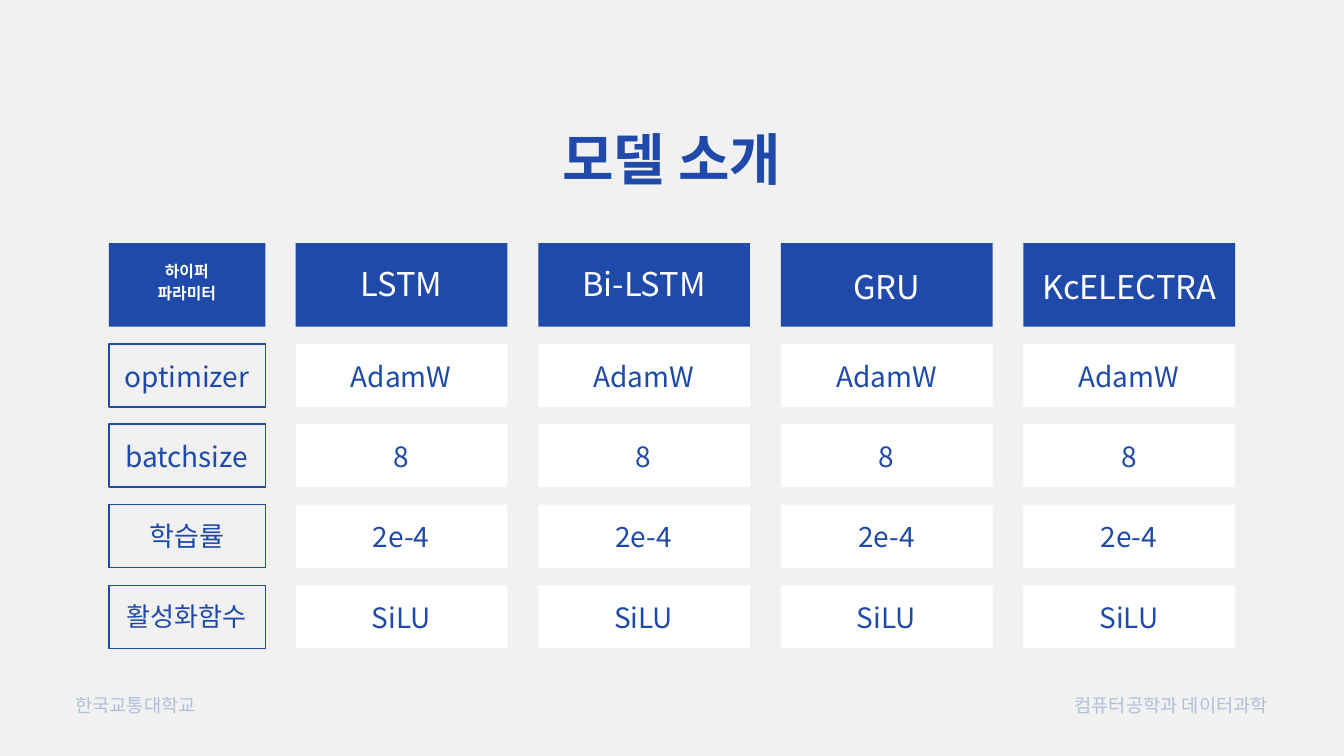
import dataclasses

import pptx
import pptx.dml.color
import pptx.enum.shapes
import pptx.enum.text
import pptx.oxml
import pptx.oxml.ns
import pptx.util

PX = 9144  # EMU in one px, 100 px to the inch
SLIDE_WIDTH, SLIDE_HEIGHT = 2000, 1125
ALIGN = pptx.enum.text.PP_ALIGN


@dataclasses.dataclass(frozen=True)
class Theme:
    font: str = "Noto Sans CJK KR"
    background: str = "F1F1F1"
    blue: str = "204AA9"
    white: str = "FFFFFF"
    title: int = 60
    model: int = 35
    value: int = 30
    corner: int = 17
    footer: int = 20
    footer_opacity: int = 30
    outline: float = 1.5
    line_spacing: float = 1.4


THEME = Theme()

# model name, distance of its label from the top of the header
MODELS = [("LSTM", 21), ("Bi-LSTM", 21), ("GRU", 25), ("KcELECTRA", 25)]

# hyperparameter, its type size, value shared by all models
HYPERPARAMETERS = [
    ("optimizer", 30, "AdamW"),
    ("batchsize", 30, "8"),
    ("학습률", 29, "2e-4"),
    ("활성화함수", 28, "SiLU"),
]


def rgb(color):
    return pptx.dml.color.RGBColor.from_string(color)


def emu(*lengths):
    return [pptx.util.Emu(length * PX) for length in lengths]


def add_panel(slide, box, fill=None, line=None):
    panel = slide.shapes.add_shape(
        pptx.enum.shapes.MSO_SHAPE.RECTANGLE, *emu(*box))
    panel.shadow.inherit = False
    if fill:
        panel.fill.solid()
        panel.fill.fore_color.rgb = rgb(fill)
    else:
        panel.fill.background()
    if line:
        panel.line.color.rgb = rgb(line)
        panel.line.width = pptx.util.Pt(THEME.outline)
    else:
        panel.line.fill.background()


def style_run(run, size, color, bold, opacity):
    run.font.size = pptx.util.Pt(size)
    run.font.bold = bold
    run.font.name = THEME.font
    run.font.color.rgb = rgb(color)
    properties = run.font._element
    east_asian = pptx.oxml.parse_xml(
        f'<a:ea {pptx.oxml.ns.nsdecls("a")} typeface="{THEME.font}"/>')
    properties.find(pptx.oxml.ns.qn("a:latin")).addnext(east_asian)
    if opacity < 100:
        alpha = pptx.oxml.parse_xml(
            f'<a:alpha {pptx.oxml.ns.nsdecls("a")} val="{opacity * 1000}"/>')
        properties.find(".//" + pptx.oxml.ns.qn("a:srgbClr")).append(alpha)


def add_label(slide, box, text, size, color,
              align=ALIGN.CENTER, bold=False, opacity=100):
    frame = slide.shapes.add_textbox(*emu(*box)).text_frame
    frame.word_wrap = True
    frame.auto_size = pptx.enum.text.MSO_AUTO_SIZE.SHAPE_TO_FIT_TEXT
    frame.margin_left = frame.margin_right = 0
    frame.margin_top = frame.margin_bottom = 0
    frame.text = text
    for paragraph in frame.paragraphs:
        paragraph.alignment = align
        paragraph.line_spacing = pptx.util.Pt(size * THEME.line_spacing)
        for run in paragraph.runs:
            style_run(run, size, color, bold, opacity)


def centred(box, width, drop, height):
    """Return a box in the middle of another, drop px below its top."""
    left, top, outer_width, _ = box
    return left + (outer_width - width) // 2, top + drop, width, height


def add_parameter_column(slide, box, header_height, row_tops, row_height):
    left, top, width, _ = box
    corner = left, top, width, header_height
    add_panel(slide, corner, fill=THEME.blue)
    add_label(slide, centred(corner, 208, 23, 65), "하이퍼\n파라미터",
              THEME.corner, THEME.white, bold=True)
    for (name, size, _), row_top in zip(HYPERPARAMETERS, row_tops):
        cell = left, row_top, width, row_height
        add_panel(slide, cell, line=THEME.blue)
        add_label(slide, centred(cell, 196, 14, 58), name, size, THEME.blue)


def add_model_column(slide, box, model, header_height, row_tops, row_height):
    left, top, width, _ = box
    name, drop = model
    header = left, top, width, header_height
    add_panel(slide, header, fill=THEME.blue)
    add_label(slide, centred(header, 287, drop, 66), name,
              THEME.model, THEME.white)
    for (_, _, value), row_top in zip(HYPERPARAMETERS, row_tops):
        cell = left, row_top, width, row_height
        add_panel(slide, cell, fill=THEME.white)
        add_label(slide, centred(cell, 194, 14, 58), value,
                  THEME.value, THEME.blue)


def add_comparison(slide, box):
    left, top, width, height = box
    header_height, row_height, first_row = 124, 94, 150
    parameter_width, model_width, column_gap = 233, 315, 46
    row_span = height - first_row - row_height
    row_tops = [top + first_row + row_span * row // (len(HYPERPARAMETERS) - 1)
                for row in range(len(HYPERPARAMETERS))]
    rows = header_height, row_tops, row_height
    add_parameter_column(slide, (left, top, parameter_width, height), *rows)
    first_model = left + width - (len(MODELS) * (model_width + column_gap)
                                  - column_gap)
    for column, model in enumerate(MODELS):
        model_left = first_model + column * (model_width + column_gap)
        add_model_column(slide, (model_left, top, model_width, height),
                         model, *rows)


def add_footer(slide, box):
    left, top, width, height = box
    school_width, department_width = 421, 665
    department_left = left + width - department_width
    for text, text_left, text_width, align in (
            ("한국교통대학교", left, school_width, ALIGN.LEFT),
            ("컴퓨터공학과 데이터과학", department_left, department_width,
             ALIGN.RIGHT)):
        add_label(slide, (text_left, top, text_width, height), text,
                  THEME.footer, THEME.blue, align,
                  opacity=THEME.footer_opacity)


def main():
    deck = pptx.Presentation()
    deck.slide_width, deck.slide_height = emu(SLIDE_WIDTH, SLIDE_HEIGHT)
    slide = deck.slides.add_slide(deck.slide_layouts[6])
    slide.background.fill.solid()
    slide.background.fill.fore_color.rgb = rgb(THEME.background)
    add_label(slide, (634, 169, 731, 115), "모델 소개",
              THEME.title, THEME.blue, bold=True)
    add_comparison(slide, (162, 362, 1676, 603))
    add_footer(slide, (112, 1027, 1775, 39))
    deck.save("out.pptx")


if __name__ == "__main__":
    main()
